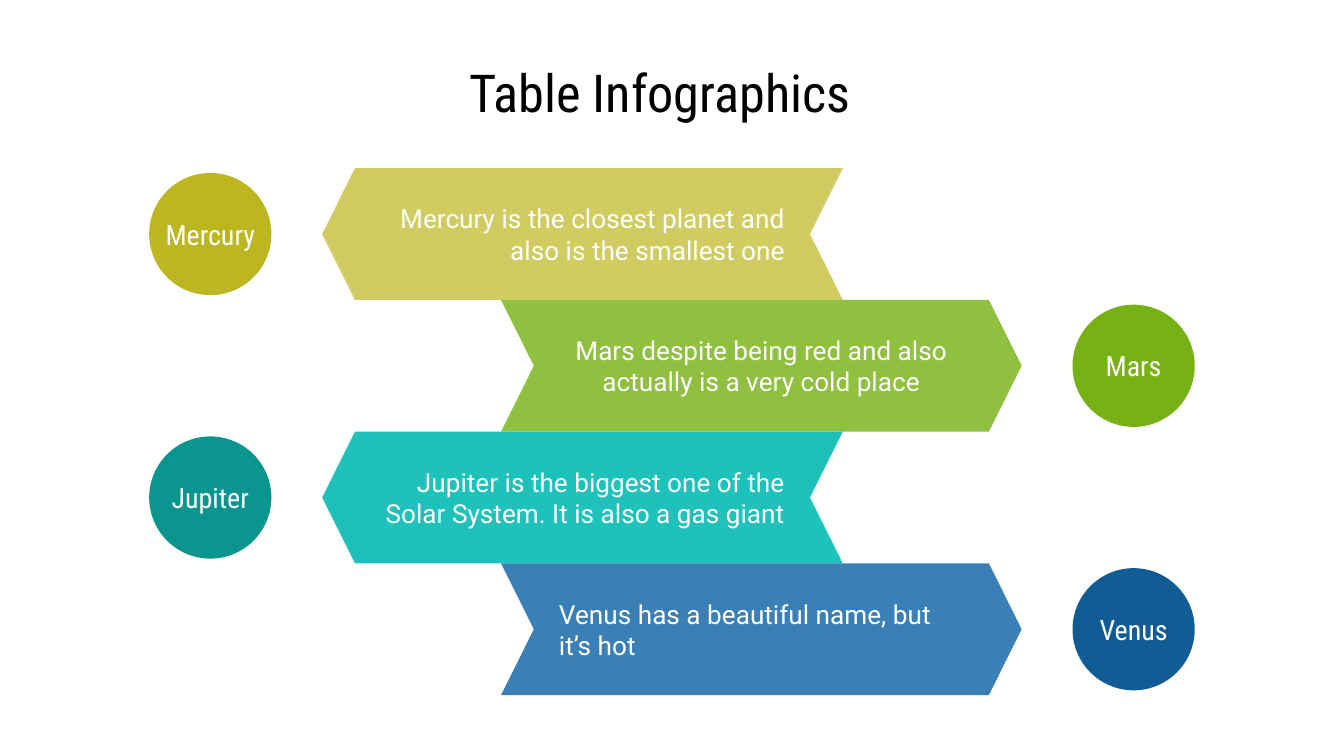
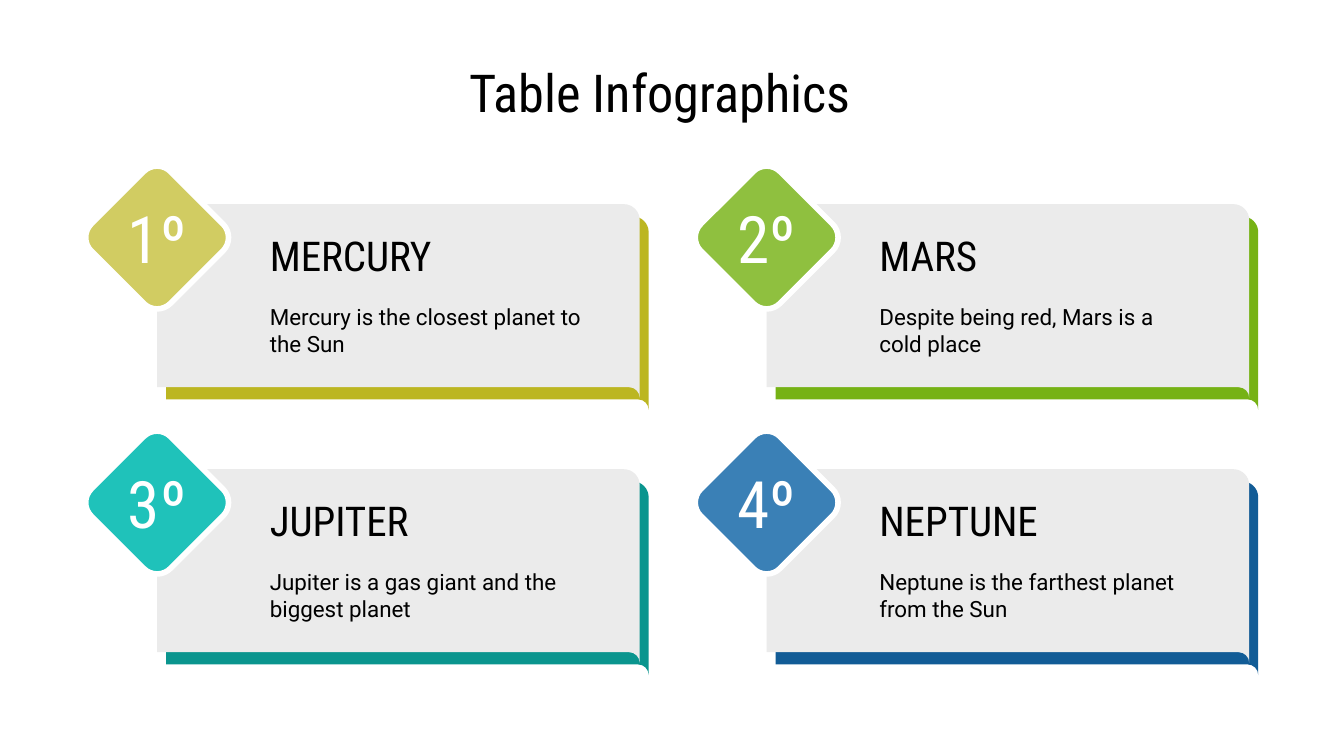
from dataclasses import dataclass
from math import cos, radians, sin, tan

from lxml import etree
from pptx import Presentation
from pptx.dml.color import RGBColor
from pptx.enum import shapes, text
from pptx.oxml.ns import qn
from pptx.util import Cm, Pt

WHITE, BLACK, GREY = "FFFFFF", "000000", "EBEBEB"
TONES = [  # light and dark tone of each entry
    ("D1CC62", "BCB621"),
    ("8FC03F", "76B215"),
    ("1FC2BA", "0A958E"),
    ("3A80B6", "125C96"),
]
BODY_FONT, HEAD_FONT = "Roboto", "Roboto Condensed"
LEFT, CENTER, RIGHT = text.PP_ALIGN.LEFT, text.PP_ALIGN.CENTER, text.PP_ALIGN.RIGHT
Point = tuple[float, float]
Segment = list[Point]  # one point for a line, three for a Bézier curve


@dataclass(frozen=True)
class Style:
    font: str
    size: float
    color: str
    align: text.PP_ALIGN = LEFT


@dataclass(frozen=True)
class Banner:
    name: str
    fact: str
    align: text.PP_ALIGN


@dataclass(frozen=True)
class Card:
    rank: str
    name: str
    fact: str


TITLE = Style(HEAD_FONT, 28, BLACK)
CIRCLE_LABEL = Style(HEAD_FONT, 15, WHITE, CENTER)
RANK = Style(HEAD_FONT, 35, WHITE, CENTER)
CARD_NAME = Style(HEAD_FONT, 22, BLACK)
CARD_FACT = Style(BODY_FONT, 12, BLACK)

BANNERS = [
    Banner("Mercury", "Mercury is the closest planet and also is the smallest one", RIGHT),
    Banner("Mars", "Mars despite being red and also actually is a very cold place", CENTER),
    Banner("Jupiter", "Jupiter is the biggest one of the Solar System. It is also a gas giant", RIGHT),
    Banner("Venus", "Venus has a beautiful name, but it’s hot", LEFT),
]
CARDS = [
    Card("1º", "MERCURY", "Mercury is the closest planet to the Sun"),
    Card("2º", "MARS", "Despite being red, Mars is a cold place"),
    Card("3º", "JUPITER", "Jupiter is a gas giant and the biggest planet"),
    Card("4º", "NEPTUNE", "Neptune is the farthest planet from the Sun"),
]

# Banner slide, in centimetres
BANNER_TOP, BANNER_WIDTH, BANNER_HEIGHT = 3.18, 9.84, 2.49
BANNER_LEFTS = (6.09, 9.47)
CIRCLE_LEFTS, CIRCLE_SIZE = (2.82, 20.27), 2.31
FACT_WIDTH, FACT_HEIGHT = 8.15, 0.99
LABEL_WIDTH, LABEL_HEIGHT = 2.21, 0.71

# Card slide, in centimetres
FIRST_X, FIRST_Y = 2.97, 4.49
COLUMN_STEP, ROW_STEP = 11.52, 5.01
PLATE_WIDTH, PLATE_HEIGHT, PLATE_RISE = 9.12, 3.46, 0.63
SHADE_X, SHADE_Y = 0.17, 0.23
TIP_DISTANCE, TIP_RADIUS = 0.99, 0.36


def rgb(color: str) -> RGBColor:
    return RGBColor.from_string(color)


def paint(shape, fill: str, outline: str | None = None) -> None:
    shape.shadow.inherit = False
    shape.fill.solid()
    shape.fill.fore_color.rgb = rgb(fill)
    if outline:
        shape.line.color.rgb = rgb(outline)
        shape.line.width = Pt(3)
    else:
        shape.line.fill.background()


def write(shape, words: str, style: Style) -> None:
    frame = shape.text_frame
    frame.text = words
    frame.word_wrap = True
    frame.auto_size = text.MSO_AUTO_SIZE.NONE
    frame.vertical_anchor = text.MSO_ANCHOR.MIDDLE
    frame.margin_left = frame.margin_right = Cm(0.25)
    frame.margin_top = frame.margin_bottom = Cm(0.25)
    paragraph = frame.paragraphs[0]
    paragraph.alignment = style.align
    font = paragraph.runs[0].font
    font.name, font.size = style.font, Pt(style.size)
    font.color.rgb = rgb(style.color)


def add_text(group, left: float, top: float, width: float, height: float,
             words: str, style: Style) -> None:
    box = group.shapes.add_textbox(Cm(left), Cm(top), Cm(width), Cm(height))
    write(box, words, style)


def add_centered_text(group, x: float, y: float, width: float, height: float,
                      words: str, style: Style) -> None:
    add_text(group, x - width / 2, y - height / 2, width, height, words, style)


def add_page(deck):
    page = deck.slides.add_slide(deck.slide_layouts[5])
    title = page.shapes.title
    title.left, title.top, title.width, title.height = map(Cm, (8.62, 1.12, 8.15, 1.24))
    write(title, "Table Infographics", TITLE)
    return page


def arc(x: float, y: float, radius: float, start: int, end: int) -> Segment:
    """Bézier curve along a circle; angles in degrees, clockwise from the right."""
    first, last = radians(start), radians(end)
    handle = 4 / 3 * tan((last - first) / 4)
    return [
        (x + radius * (cos(first) - handle * sin(first)),
         y + radius * (sin(first) + handle * cos(first))),
        (x + radius * (cos(last) + handle * sin(last)),
         y + radius * (sin(last) - handle * cos(last))),
        (x + radius * cos(last), y + radius * sin(last)),
    ]


def add_outline(group, segments: list[Segment], x: float, y: float):
    """Closed freeform of lines and curves, given relative to (x, y)."""
    points = [(Cm(x + dx), Cm(y + dy)) for segment in segments for dx, dy in segment]
    builder = group.shapes.build_freeform(*points[0])
    builder.add_line_segments(points[1:], close=True)
    shape = builder.convert_to_shape()
    path = shape._element.spPr.find(".//" + qn("a:path"))
    nodes = iter(path.findall(qn("a:lnTo")))
    for segment in segments[1:]:
        lines = [next(nodes) for _ in segment]
        if len(lines) == 3:
            curve = etree.Element(qn("a:cubicBezTo"))
            lines[0].addprevious(curve)
            for line in lines:
                curve.append(line[0])
                path.remove(line)
    return shape


def plate_outline() -> list[Segment]:
    curl, corner = 0.2, 0.3
    return [
        [(0, 0)],
        [(0, PLATE_HEIGHT)],
        [(PLATE_WIDTH - curl, PLATE_HEIGHT)],
        arc(PLATE_WIDTH - curl, PLATE_HEIGHT + curl, curl, -90, 0),
        [(PLATE_WIDTH, corner)],
        arc(PLATE_WIDTH - corner, corner, corner, 0, -90),
    ]


def diamond_outline() -> list[Segment]:
    segments: list[Segment] = []
    for angle in range(0, 360, 90):
        x = TIP_DISTANCE * cos(radians(angle))
        y = TIP_DISTANCE * sin(radians(angle))
        before = arc(x, y, TIP_RADIUS, angle, angle - 45)
        segments += [
            [before[-1]],
            arc(x, y, TIP_RADIUS, angle - 45, angle),
            arc(x, y, TIP_RADIUS, angle, angle + 45),
        ]
    return segments


def add_banner(group, index: int, banner: Banner) -> None:
    light, dark = TONES[index]
    side = index % 2
    left, top = BANNER_LEFTS[side], BANNER_TOP + index * BANNER_HEIGHT
    middle = top + BANNER_HEIGHT / 2
    chevron = group.shapes.add_shape(shapes.MSO_SHAPE.CHEVRON, Cm(left), Cm(top),
                                     Cm(BANNER_WIDTH), Cm(BANNER_HEIGHT))
    chevron.adjustments[0] = 0.249
    paint(chevron, light)
    if side == 0:
        chevron._element.spPr.find(qn("a:xfrm")).set("flipH", "1")
    circle = group.shapes.add_shape(shapes.MSO_SHAPE.OVAL, Cm(CIRCLE_LEFTS[side]),
                                    Cm(middle - CIRCLE_SIZE / 2),
                                    Cm(CIRCLE_SIZE), Cm(CIRCLE_SIZE))
    paint(circle, dark)
    add_centered_text(group, CIRCLE_LEFTS[side] + CIRCLE_SIZE / 2, middle,
                      LABEL_WIDTH, LABEL_HEIGHT, banner.name, CIRCLE_LABEL)
    add_centered_text(group, left + BANNER_WIDTH / 2, middle, FACT_WIDTH, FACT_HEIGHT,
                      banner.fact, Style(BODY_FONT, 14, WHITE, banner.align))


def add_card(group, index: int, card: Card) -> None:
    light, dark = TONES[index]
    row, column = divmod(index, 2)
    x, y = FIRST_X + column * COLUMN_STEP, FIRST_Y + row * ROW_STEP
    plate_top = y - PLATE_RISE
    paint(add_outline(group, plate_outline(), x + SHADE_X, plate_top + SHADE_Y), dark)
    paint(add_outline(group, plate_outline(), x, plate_top), GREY)
    diamond = add_outline(group, diamond_outline(), x, y)
    paint(diamond, light, WHITE)
    write(diamond, card.rank, RANK)
    add_text(group, x + 1.88, y + 0.97, 6.4, 1.55, card.fact, CARD_FACT)
    add_text(group, x + 1.88, y - 0.31, 6.4, 1.27, card.name, CARD_NAME)


def main() -> None:
    deck = Presentation()
    deck.slide_width, deck.slide_height = Cm(25.4), Cm(14.29)
    for items, add_item in ((BANNERS, add_banner), (CARDS, add_card)):
        page = add_page(deck)
        for index, item in enumerate(items):
            add_item(page.shapes.add_group_shape(), index, item)
    deck.save("out.pptx")


if __name__ == "__main__":
    main()
